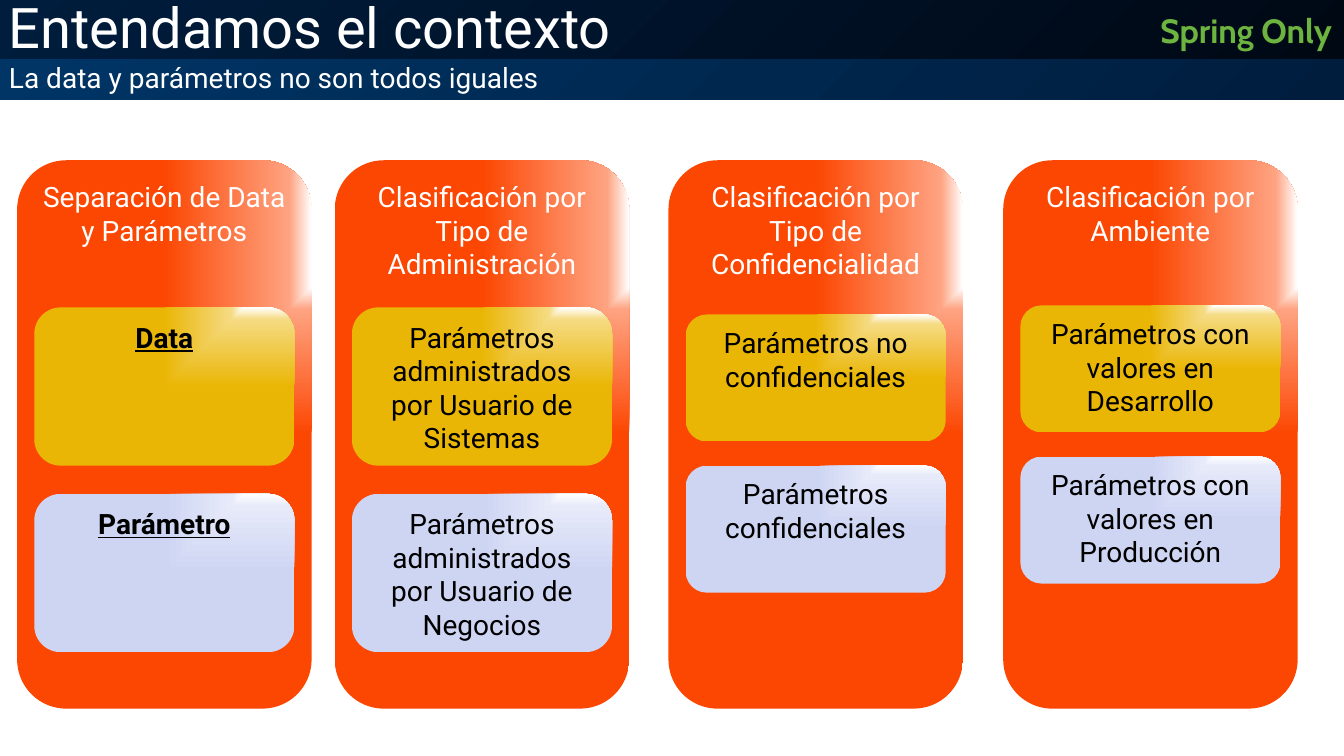
"""Builds a slide of four classification columns for data and parameters."""
from dataclasses import dataclass

from pptx import Presentation
from pptx.dml.color import RGBColor
from pptx.enum.shapes import MSO_SHAPE as Shape
from pptx.enum.text import MSO_ANCHOR as Anchor, MSO_AUTO_SIZE as AutoSize, PP_ALIGN as Align
from pptx.oxml import parse_xml
from pptx.oxml.ns import nsdecls
from pptx.util import Emu, Pt

PX = 9144

Stops = tuple[tuple[int, str], ...]


@dataclass(frozen=True)
class Theme:
    font: str = "Roboto"
    brand_font: str = "Cabin"
    white: str = "FFFFFF"
    black: str = "000000"
    green: str = "6DB33F"
    title_size: int = 40
    brand_size: int = 24
    body_size: int = 20
    title_bar: Stops = ((0, "000814"), (100, "001D3D"))
    subtitle_bar: Stops = ((0, "001D3D"), (100, "003566"))
    orange: Stops = ((0, "FFFFFF"), (15, "FEA381"), (100, "FC4703"))
    yellow: Stops = ((0, "FFFFFF"), (15, "F5DB83"), (100, "EAB606"))
    lilac: Stops = ((0, "FFFFFF"), (15, "E7EAF9"), (100, "CED5F3"))


@dataclass(frozen=True)
class Bar:
    text: str
    top: int
    height: int
    size: int
    stops: Stops


@dataclass(frozen=True)
class Column:
    left: int
    heading: str
    card_top: int
    card_height: int
    card_step: int
    cards: tuple[str, str]
    emphasis: bool = False


THEME = Theme()
LINEAR = '<a:lin ang="13500000" scaled="0"/>'
TOP_RIGHT = '<a:path path="rect"><a:fillToRect l="100000" b="100000"/></a:path>'
COLUMN_TOP, COLUMN_WIDTH, COLUMN_HEIGHT = 159, 292, 544
CARD_INSET, CARD_WIDTH = 17, 258

BARS = (
    Bar("Entendamos el contexto", 0, 60, THEME.title_size, THEME.title_bar),
    Bar("La data y parámetros no son todos iguales", 59, 40, THEME.body_size, THEME.subtitle_bar),
)
COLUMNS = (
    Column(17, "Separación de Data y Parámetros", 305, 157, 185, ("Data", "Parámetro"), True),
    Column(332, "Clasificación por Tipo de Administración", 305, 157, 185,
           ("Parámetros administrados por Usuario de Sistemas",
            "Parámetros administrados por Usuario de Negocios")),
    Column(663, "Clasificación por Tipo de\nConfidencialidad", 312, 126, 150,
           ("Parámetros no confidenciales", "Parámetros confidenciales")),
    Column(995, "Clasificación por Ambiente", 303, 126, 150,
           ("Parámetros con valores en Desarrollo", "Parámetros con valores en Producción")),
)


def px(*values: int) -> list[Emu]:
    """Turn px lengths into EMU."""
    return [Emu(v * PX) for v in values]


def write(sp, text: str, size: int, color: str, font: str = THEME.font,
          bold: bool = False, underline: bool = False, align=Align.LEFT,
          spacing: float = 1.0) -> None:
    """Set the text of a shape and format its runs."""
    tf = sp.text_frame
    tf.text = text
    for p in tf.paragraphs:
        p.alignment = align
        p.line_spacing = spacing
        for r in p.runs:
            r.font.name = font
            r.font.size = Pt(size)
            r.font.bold = bold
            r.font.underline = underline
            r.font.color.rgb = RGBColor.from_string(color)


def add_gradient_shape(slide, kind, box: tuple[int, int, int, int], stops: Stops,
                       direction: str, anchor):
    """Add an unlined shape filled with a gradient."""
    sp = slide.shapes.add_shape(kind, *px(*box))
    sp.shadow.inherit = False
    sp.line.fill.background()
    sp.fill.background()
    marks = "".join(f'<a:gs pos="{pos * 1000}"><a:srgbClr val="{color}"/></a:gs>'
                    for pos, color in stops)
    grad = parse_xml(f'<a:gradFill {nsdecls("a")} rotWithShape="1">'
                     f"<a:gsLst>{marks}</a:gsLst>{direction}</a:gradFill>")
    sp_pr = sp._element.spPr
    sp_pr.replace(sp_pr.eg_fillProperties, grad) if hasattr(sp_pr, "eg_fillProperties") else None
    sp.text_frame.word_wrap = True
    sp.text_frame.vertical_anchor = anchor
    return sp


def add_bar(slide, bar: Bar) -> None:
    """Add a full-width header bar."""
    sp = add_gradient_shape(slide, Shape.RECTANGLE, (-1, bar.top, 1335, bar.height),
                            bar.stops, LINEAR, Anchor.MIDDLE)
    write(sp, bar.text, bar.size, THEME.white, spacing=0.9)


def add_brand(slide) -> None:
    """Add the label at the top right."""
    sp = slide.shapes.add_textbox(*px(1141, 5, 192, 50))
    sp.text_frame.word_wrap = False
    sp.text_frame.auto_size = AutoSize.SHAPE_TO_FIT_TEXT
    write(sp, "Spring Only", THEME.brand_size, THEME.green, THEME.brand_font, bold=True)


def add_column(slide, column: Column) -> None:
    """Add a column panel with its heading and two cards."""
    panel = add_gradient_shape(slide, Shape.ROUNDED_RECTANGLE,
                               (column.left, COLUMN_TOP, COLUMN_WIDTH, COLUMN_HEIGHT),
                               THEME.orange, TOP_RIGHT, Anchor.TOP)
    write(panel, column.heading, THEME.body_size, THEME.white, align=Align.CENTER)
    for i, (text, stops) in enumerate(zip(column.cards, (THEME.yellow, THEME.lilac))):
        box = (column.left + CARD_INSET, column.card_top + i * column.card_step,
               CARD_WIDTH, column.card_height)
        card = add_gradient_shape(slide, Shape.ROUNDED_RECTANGLE, box, stops,
                                  TOP_RIGHT, Anchor.TOP)
        write(card, text, THEME.body_size, THEME.black, bold=column.emphasis,
              underline=column.emphasis, align=Align.CENTER)


def main() -> None:
    """Build and save the presentation."""
    prs = Presentation()
    prs.slide_width, prs.slide_height = px(1333, 750)
    slide = prs.slides.add_slide(prs.slide_layouts[6])
    for bar in BARS:
        add_bar(slide, bar)
    add_brand(slide)
    for column in COLUMNS:
        add_column(slide, column)
    prs.save("out.pptx")


if __name__ == "__main__":
    main()
